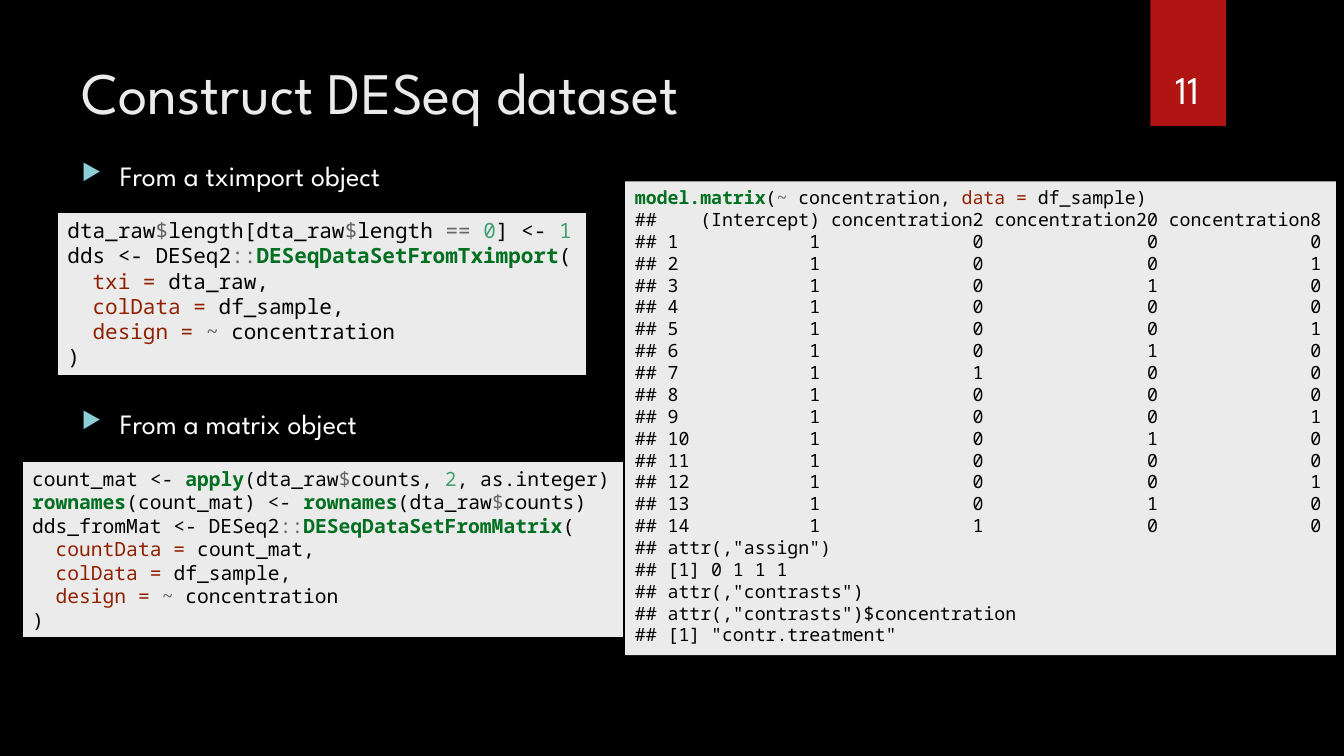
from lxml.etree import SubElement
from pptx import Presentation
from pptx.dml.color import RGBColor
from pptx.enum.shapes import MSO_SHAPE
from pptx.enum.text import MSO_ANCHOR, PP_ALIGN
from pptx.oxml.ns import qn
from pptx.util import Inches, Pt

SANS, MONO = "League Spartan", "Noto Sans Mono"
BLACK, WHITE, PANEL, RED, TEAL = "000000", "FFFFFF", "EBEBEB", "B01513", "8AD0D6"
ROLE_COLORS = {"plain": BLACK, "operator": "666666", "number": "40A070",
               "function": "007020", "argument": "902000"}

# Left, top, width and height in percent of the slide
BANNER = (85.6, 0, 5.63, 16.67)
TITLE = (5.33, 6.67, 77.2, 13.73)
NUMBER = (84.92, 4.27, 6.9, 11.2)
BODY = (5.33, 20.27, 77.87, 70)
TXIMPORT_PANEL = (4.28, 28.13, 39.38, 21.6)
MODEL_PANEL = (46.51, 24, 52.89, 62.67)
MATRIX_PANEL = (1.65, 61.07, 44.71, 23.33)

# Bullet text and the space above it in points
BULLETS = [("From a tximport object", 0), ("From a matrix object", 153)]

# Code lines are lists of (text, role)
DOLLAR, COLONS = ("$", "operator"), ("::", "operator")
SHARED_ARGUMENTS = [
    [("  colData = ", "argument"), ("df_sample,", "plain")],
    [("  design = ", "argument"), ("~ ", "operator"), ("concentration", "plain")],
    [(")", "plain")],
]
TXIMPORT_CODE = [
    [("dta_raw", "plain"), DOLLAR, ("length[dta_raw", "plain"), DOLLAR,
     ("length ", "plain"), ("== ", "operator"), ("0", "number"),
     ("] <- ", "plain"), ("1", "number")],
    [("dds <- DESeq2", "plain"), COLONS,
     ("DESeqDataSetFromTximport", "function"), ("(", "plain")],
    [("  txi = ", "argument"), ("dta_raw,", "plain")],
] + SHARED_ARGUMENTS
MATRIX_CODE = [
    [("count_mat <- ", "plain"), ("apply", "function"), ("(dta_raw", "plain"), DOLLAR,
     ("counts, ", "plain"), ("2", "number"), (", as.integer)", "plain")],
    [("rownames", "function"), ("(count_mat) <- ", "plain"), ("rownames", "function"),
     ("(dta_raw", "plain"), DOLLAR, ("counts)", "plain")],
    [("dds_fromMat <- DESeq2", "plain"), COLONS,
     ("DESeqDataSetFromMatrix", "function"), ("(", "plain")],
    [("  countData = ", "argument"), ("count_mat,", "plain")],
] + SHARED_ARGUMENTS
MODEL_CALL = [("model.matrix", "function"), ("(", "plain"), ("~ ", "operator"),
              ("concentration, ", "plain"), ("data = ", "argument"),
              ("df_sample)", "plain")]
LEVELS = [2, 20, 8]
SAMPLES = [0, 8, 20, 0, 8, 20, 2, 0, 8, 20, 0, 8, 20, 2]
ATTRIBUTES = ['attr(,"assign")', "[1] 0 1 1 1", 'attr(,"contrasts")',
              'attr(,"contrasts")$concentration', '[1] "contr.treatment"']

deck = Presentation()
deck.slide_width, deck.slide_height = Inches(13.33), Inches(7.5)
page = deck.slides.add_slide(deck.slide_layouts[6])


def color(value):
    return RGBColor.from_string(value)


def place(area):
    """Turn percentages into slide lengths."""
    sides = (deck.slide_width, deck.slide_height) * 2
    return [round(side * share / 100) for side, share in zip(sides, area)]


def add_span(para, text, font, size, fill, bold=False):
    span = para.add_run()
    span.text = text
    span.font.name, span.font.size, span.font.bold = font, Pt(size), bold
    span.font.color.rgb = color(fill)


def add_rectangle(area, fill, outline=None):
    box = page.shapes.add_shape(MSO_SHAPE.RECTANGLE, *place(area))
    box.shadow.inherit = False
    box.fill.solid()
    box.fill.fore_color.rgb = color(fill)
    if outline:
        box.line.color.rgb = color(outline)
        box.line.width = Pt(0.75)
    else:
        box.line.fill.background()
    return box


def add_text_frame(area, anchor=MSO_ANCHOR.TOP):
    frame = page.shapes.add_textbox(*place(area)).text_frame
    frame.word_wrap = True
    frame.vertical_anchor = anchor
    return frame


def next_paragraph(frame, index):
    return frame.add_paragraph() if index else frame.paragraphs[0]


def add_bullet(para):
    properties = para._p.get_or_add_pPr()
    properties.set("marL", str(Inches(0.38)))
    properties.set("indent", str(-Inches(0.38)))
    tint = SubElement(properties, qn("a:buClr"))
    SubElement(tint, qn("a:srgbClr"), val=TEAL)
    SubElement(properties, qn("a:buSzPct"), val="80000")
    SubElement(properties, qn("a:buChar"), char="▶")


def add_code_panel(area, lines, size, outline=None):
    frame = add_rectangle(area, PANEL, outline).text_frame
    frame.word_wrap = False
    frame.vertical_anchor = MSO_ANCHOR.TOP
    for index, line in enumerate(lines):
        para = next_paragraph(frame, index)
        para.alignment = PP_ALIGN.LEFT
        for text, role in line:
            add_span(para, text, MONO, size, ROLE_COLORS[role], role == "function")


def model_output():
    """Print the design matrix with right-aligned columns, as R does."""
    headers = ["(Intercept)"] + [f"concentration{level}" for level in LEVELS]
    rows = [("", headers)]
    for number, sample in enumerate(SAMPLES, 1):
        rows.append((number, [1] + [int(sample == level) for level in LEVELS]))
    printed = []
    for label, cells in rows:
        columns = [f"{cell:>{len(header)}}" for cell, header in zip(cells, headers)]
        printed.append(" ".join([f"{label:<2}"] + columns))
    return [[("## " + text, "plain")] for text in printed + ATTRIBUTES]


page.background.fill.solid()
page.background.fill.fore_color.rgb = color(BLACK)
add_rectangle(BANNER, RED)
add_span(add_text_frame(TITLE).paragraphs[0], "Construct DESeq dataset", SANS, 42, PANEL)

number_para = add_text_frame(NUMBER, MSO_ANCHOR.BOTTOM).paragraphs[0]
number_para.alignment = PP_ALIGN.CENTER
add_span(number_para, "11", SANS, 28, WHITE)

body = add_text_frame(BODY)
for index, (text, space) in enumerate(BULLETS):
    para = next_paragraph(body, index)
    para.space_before = Pt(space)
    add_bullet(para)
    add_span(para, text, SANS, 20, WHITE)

add_code_panel(TXIMPORT_PANEL, TXIMPORT_CODE, 15, BLACK)
add_code_panel(MODEL_PANEL, [MODEL_CALL] + model_output(), 13)
add_code_panel(MATRIX_PANEL, MATRIX_CODE, 14, BLACK)

deck.save("out.pptx")
